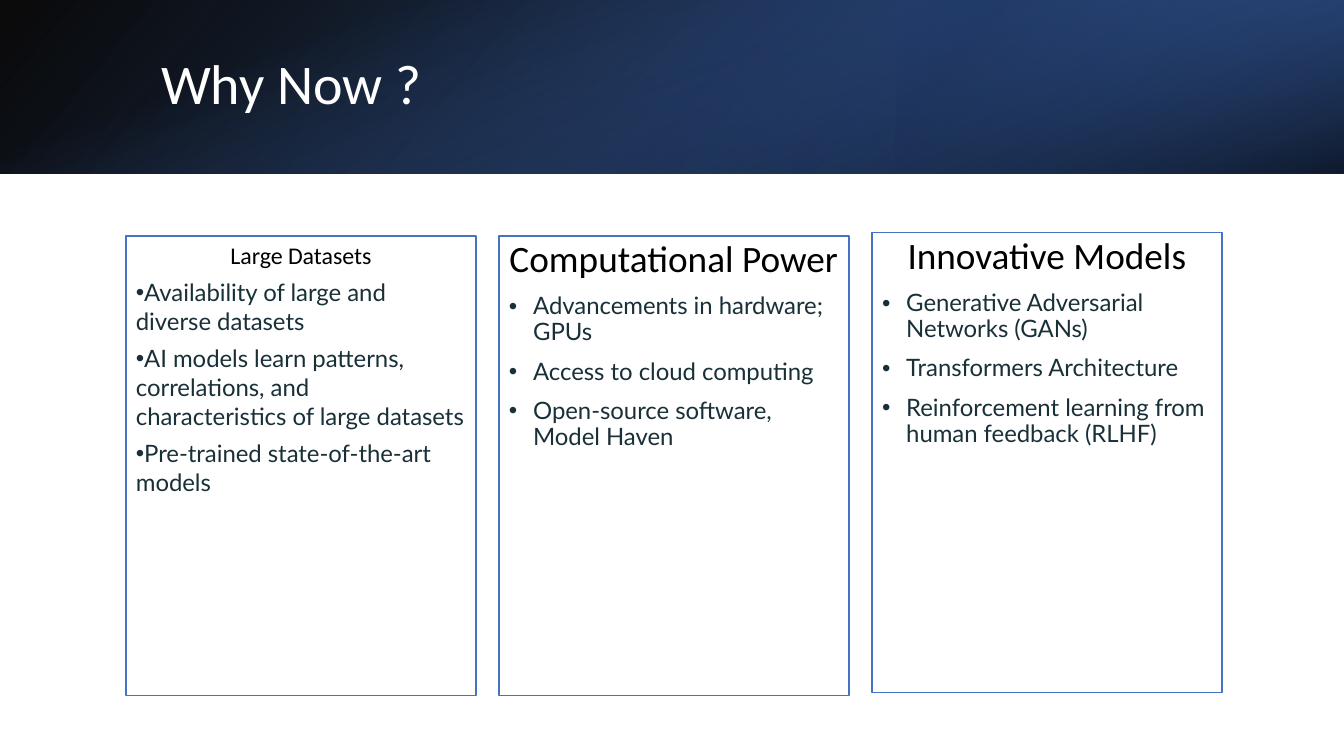
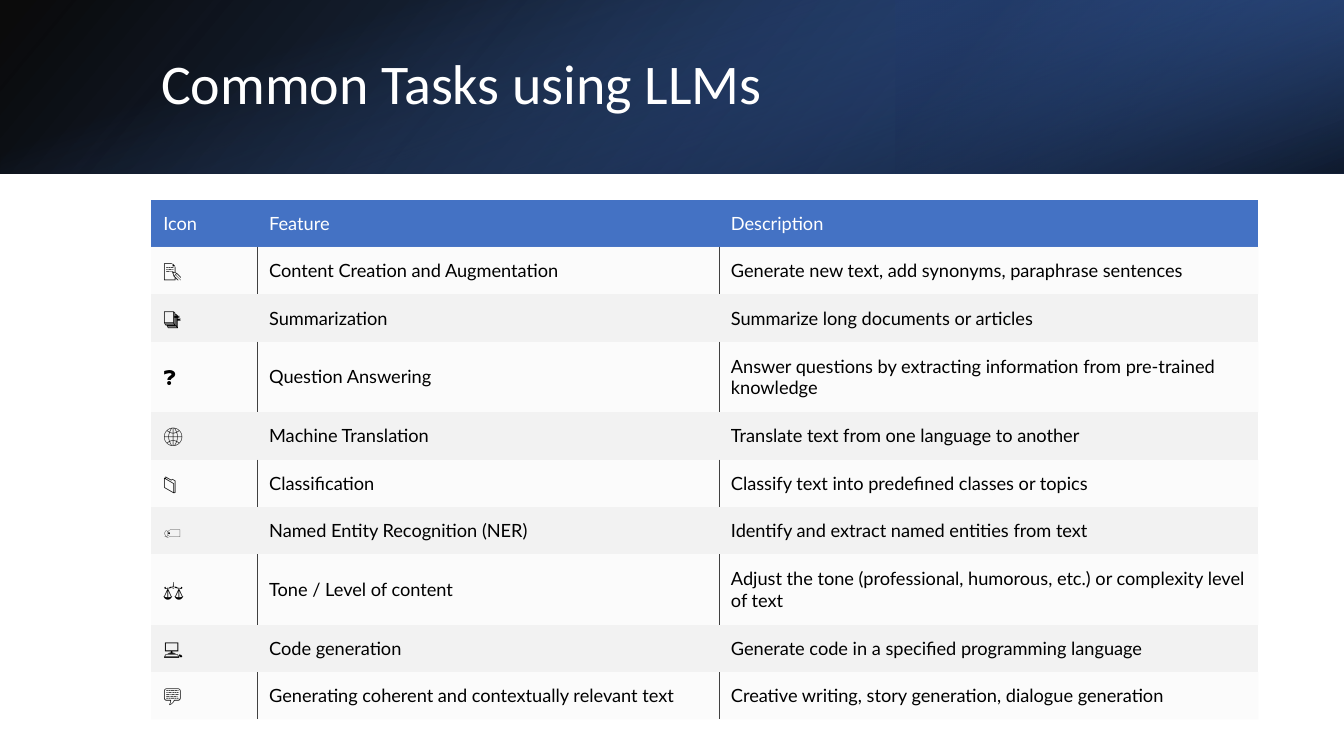
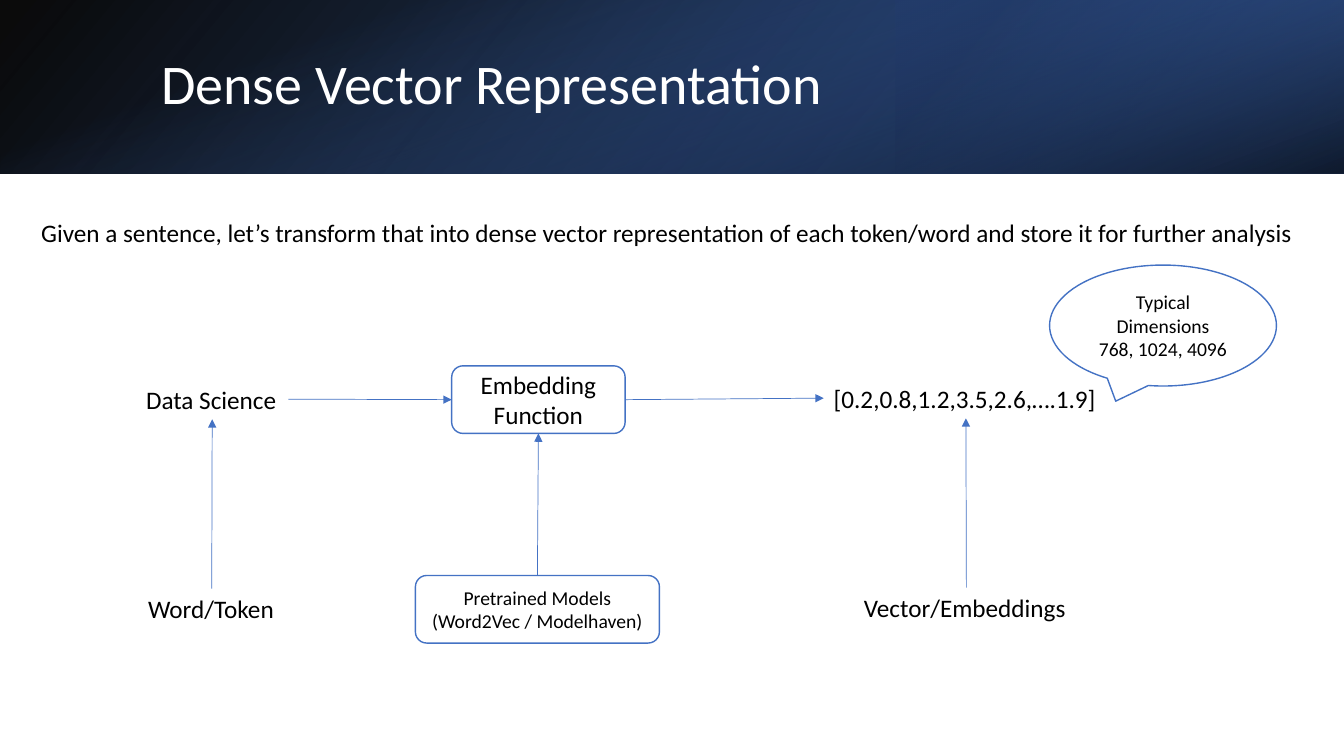
from collections import namedtuple
from dataclasses import dataclass

from lxml.etree import SubElement
from pptx import Presentation
from pptx.dml.color import RGBColor
from pptx.enum.shapes import MSO_CONNECTOR as Connector, MSO_SHAPE as Shape
from pptx.enum.text import MSO_ANCHOR as Anchor, MSO_AUTO_SIZE as AutoSize, PP_ALIGN as Align
from pptx.oxml.ns import qn
from pptx.util import Inches, Pt


@dataclass(frozen=True)
class Theme:
    black: str = "000000"
    white: str = "FFFFFF"
    accent: str = "4472C4"
    blue: str = "2F5597"
    navy: str = "203864"
    body: str = "193038"
    stripe: str = "F2F2F2"
    rule: str = "404040"
    heading_font: str = "Calibri"
    body_font: str = "Lato"
    title: float = 40
    heading: float = 26.6
    bullet: float = 17.1
    cell: float = 13
    label: float = 18
    small: float = 14


THEME = Theme()
Box = namedtuple("Box", "left top width height")
Stop = namedtuple("Stop", "position color alpha")

SLIDE_WIDTH, SLIDE_HEIGHT, BAND_HEIGHT = 13.33, 7.5, 1.72
TITLE_BOX = Box(1.5, 0.38, 10.98, 0.96)

PILLARS = [
    ("Large Datasets", [
        "Availability of large and diverse datasets",
        "AI models learn patterns, correlations, and characteristics of large datasets",
        "Pre-trained state-of-the-art models"]),
    ("Computational Power", [
        "Advancements in hardware; GPUs",
        "Access to cloud computing",
        "Open-source software, Model Haven"]),
    ("Innovative Models", [
        "Generative Adversarial Networks (GANs)",
        "Transformers Architecture",
        "Reinforcement learning from human feedback (RLHF)"]),
]

TASKS = [
    ("Icon", "Feature", "Description"),
    ("📝", "Content Creation and Augmentation",
     "Generate new text, add synonyms, paraphrase sentences"),
    ("📑", "Summarization", "Summarize long documents or articles"),
    ("❓", "Question Answering",
     "Answer questions by extracting information from pre-trained knowledge"),
    ("🌐", "Machine Translation", "Translate text from one language to another"),
    ("📁", "Classification", "Classify text into predefined classes or topics"),
    ("🏷️", "Named Entity Recognition (NER)", "Identify and extract named entities from text"),
    ("⚖️", "Tone / Level of content",
     "Adjust the tone (professional, humorous, etc.) or complexity level of text"),
    ("💻", "Code generation", "Generate code in a specified programming language"),
    ("💬", "Generating coherent and contextually relevant text",
     "Creative writing, story generation, dialogue generation"),
]
COLUMN_WIDTHS = (1.05, 4.58, 5.35)
ROW_HEIGHT, TALL_ROW_HEIGHT, TALL_ROWS = 0.47, 0.7, (3, 7)


def rgb(color):
    return RGBColor.from_string(color)


def inches(box):
    return [Inches(length) for length in box]


def style(paragraph, size, color, font=THEME.heading_font):
    paragraph.font.size = Pt(size)
    paragraph.font.name = font
    paragraph.font.color.rgb = rgb(color)


def set_alpha(color_element, percent):
    SubElement(color_element, qn("a:alpha"), val=str(percent * 1000))


def add_panel(slide, kind, box, fill=None):
    """Add an outlined shape, empty unless a fill colour is given."""
    panel = slide.shapes.add_shape(kind, *inches(box))
    panel.shadow.inherit = False
    panel.line.color.rgb = rgb(THEME.accent)
    panel.line.width = Pt(1)
    if fill:
        panel.fill.solid()
        panel.fill.fore_color.rgb = rgb(fill)
    else:
        panel.fill.background()
    return panel


def add_gradient(slide, box, angle, stops, rotation=0, flipped=False):
    """Add a borderless gradient rectangle; the angle runs clockwise."""
    layer = slide.shapes.add_shape(Shape.RECTANGLE, *inches(box))
    layer.shadow.inherit = False
    layer.line.fill.background()
    layer.rotation = rotation
    properties = layer._element.spPr
    if flipped:
        properties.find(qn("a:xfrm")).set("flipH", "1")
    layer.fill.gradient()
    layer.fill.gradient_angle = 360 - angle
    for gradient_stop, stop in zip(layer.fill.gradient_stops, stops):
        gradient_stop.position = stop.position
        gradient_stop.color.rgb = rgb(stop.color)
    for color_element, stop in zip(properties.iter(qn("a:srgbClr")), stops):
        set_alpha(color_element, stop.alpha)


def add_title_band(slide, title):
    third = SLIDE_WIDTH / 3
    offset = (SLIDE_WIDTH - BAND_HEIGHT) / 2
    add_gradient(slide, Box(0, 0, SLIDE_WIDTH, BAND_HEIGHT), 140,
                 [Stop(0, THEME.black, 96), Stop(1, THEME.blue, 100)], flipped=True)
    add_gradient(slide, Box(2 * third, 0, third, BAND_HEIGHT), 320,
                 [Stop(0.19, THEME.navy, 68), Stop(1, THEME.accent, 79)],
                 rotation=180, flipped=True)
    add_gradient(slide, Box(offset, -offset, BAND_HEIGHT, SLIDE_WIDTH), 340,
                 [Stop(0.23, THEME.accent, 0), Stop(0.99, THEME.black, 74)], rotation=90)

    frame = slide.shapes.add_textbox(*inches(TITLE_BOX)).text_frame
    frame.word_wrap = True
    frame.vertical_anchor = Anchor.MIDDLE
    frame.text = title
    frame.paragraphs[0].line_spacing = 0.9
    style(frame.paragraphs[0], THEME.title, THEME.white)


def add_bullet(paragraph, indent):
    properties = paragraph._p.get_or_add_pPr()
    properties.set("marL", str(Inches(indent)))
    properties.set("indent", str(-Inches(indent)))
    SubElement(properties, qn("a:buFont"), typeface="Arial")
    SubElement(properties, qn("a:buChar"), char="•")


def add_pillar(slide, box, heading, points, heading_size, indent, spacing):
    """Add a framed column: a centred heading over bullet points."""
    frame = add_panel(slide, Shape.RECTANGLE, box).text_frame
    frame.word_wrap = True
    frame.vertical_anchor = Anchor.TOP
    frame.text = "\n".join([heading, *points])
    for index, paragraph in enumerate(frame.paragraphs):
        if index:
            paragraph.alignment = Align.LEFT
            add_bullet(paragraph, indent)
            style(paragraph, THEME.bullet, THEME.body, THEME.body_font)
            paragraph.space_before = Pt(spacing["before"])
        else:
            paragraph.alignment = Align.CENTER
            style(paragraph, heading_size, THEME.black)
        paragraph.space_after = Pt(spacing["after"])
        paragraph.line_spacing = spacing["line"]


def add_pillars(slide, box):
    gap = 0.23
    width = (box.width - gap * (len(PILLARS) - 1)) / len(PILLARS)
    loose = {"before": 0, "after": 6, "line": 1.0}
    tight = {"before": 9.5, "after": 0, "line": 0.9}
    looks = [(0, THEME.bullet, 0, loose),
             (0, THEME.heading, 0.24, tight),
             (-0.03, THEME.heading, 0.24, tight)]
    for index, ((heading, points), (shift, *look)) in enumerate(zip(PILLARS, looks)):
        column = Box(box.left + index * (width + gap), box.top + shift, width, box.height)
        add_pillar(slide, column, heading, points, *look)


def add_cell_rules(cell, sides):
    properties = cell._tc.get_or_add_tcPr()
    for index, side in enumerate(sides):
        line = SubElement(properties, qn(f"a:{side}"), w=str(Pt(0.5)))
        fill = SubElement(line, qn("a:solidFill"))
        SubElement(fill, qn("a:srgbClr"), val=THEME.rule)
        properties.insert(index, line)


def fill_cell(cell, text, row, column):
    is_header, is_light = row == 0, row % 2 == 1
    cell.text = text
    cell.vertical_anchor = Anchor.MIDDLE
    cell.margin_left = Inches(0.12)
    cell.margin_right = Inches(0.04 if is_header else 0.07)
    cell.margin_top = cell.margin_bottom = Inches(0.09)
    style(cell.text_frame.paragraphs[0], THEME.cell,
          THEME.white if is_header else THEME.black, THEME.body_font)
    cell.fill.solid()
    cell.fill.fore_color.rgb = rgb(THEME.accent if is_header else THEME.stripe)
    if is_light:
        set_alpha(next(cell._tc.tcPr.iter(qn("a:srgbClr"))), 30)
        sides = ["lnL"] * (column > 0) + ["lnR"] * (column < len(COLUMN_WIDTHS) - 1)
        add_cell_rules(cell, sides)


def add_task_table(slide, box):
    table = slide.shapes.add_table(len(TASKS), len(COLUMN_WIDTHS), *inches(box)).table
    table.horz_banding = False
    no_grid = "{2D5ABB26-0587-4C30-8999-92F81FD0307C}"
    table._tbl.tblPr.find(qn("a:tableStyleId")).text = no_grid
    for column, width in zip(table.columns, COLUMN_WIDTHS):
        column.width = Inches(width)
    for row, texts in enumerate(TASKS):
        table.rows[row].height = Inches(TALL_ROW_HEIGHT if row in TALL_ROWS else ROW_HEIGHT)
        for column, text in enumerate(texts):
            fill_cell(table.cell(row, column), text, row, column)


def add_label(slide, box, text):
    label = slide.shapes.add_textbox(*inches(box))
    frame = label.text_frame
    frame.word_wrap = False
    frame.auto_size = AutoSize.SHAPE_TO_FIT_TEXT
    frame.text = text
    style(frame.paragraphs[0], THEME.label, THEME.black)
    return label


def add_node(slide, kind, box, text, size):
    node = add_panel(slide, kind, box, THEME.white)
    frame = node.text_frame
    frame.word_wrap = True
    frame.vertical_anchor = Anchor.MIDDLE
    frame.text = text
    for paragraph in frame.paragraphs:
        paragraph.alignment = Align.CENTER
        style(paragraph, size, THEME.black)
    return node


def add_arrow(slide, start, start_side, end, end_side):
    arrow = slide.shapes.add_connector(Connector.STRAIGHT, 0, 0, 0, 0)
    arrow.begin_connect(start, start_side)
    arrow.end_connect(end, end_side)
    arrow.line.color.rgb = rgb(THEME.accent)
    arrow.line.width = Pt(0.5)
    SubElement(arrow.line._get_or_add_ln(), qn("a:tailEnd"), type="triangle")
    SubElement(arrow._element.spPr, qn("a:effectLst"))


def add_embedding_flow(slide, box):
    def at(left, top, width, height):
        return Box(box.left + left, box.top + top, width, height)

    phrase = add_label(slide, at(0, 1.13, 1.51, 0.4), "Data Science")
    token = add_label(slide, at(0.02, 3.21, 1.46, 0.4), "Word/Token")
    embedding = add_node(slide, Shape.ROUNDED_RECTANGLE, at(3.13, 1, 1.72, 0.67),
                         "Embedding\nFunction", THEME.label)
    models = add_node(slide, Shape.ROUNDED_RECTANGLE, at(2.77, 3.08, 2.42, 0.67),
                      "Pretrained Models\n(Word2Vec / Modelhaven)", THEME.small)
    vector = add_label(slide, at(6.82, 1.12, 2.82, 0.4), "[0.2,0.8,1.2,3.5,2.6,….1.9]")
    vector_name = add_label(slide, at(7.12, 3.2, 2.23, 0.4), "Vector/Embeddings")

    top, left, bottom, right = range(4)
    add_arrow(slide, phrase, right, embedding, left)
    add_arrow(slide, embedding, right, vector, left)
    for source, target in ((token, phrase), (models, embedding), (vector_name, vector)):
        add_arrow(slide, source, top, target, bottom)

    add_node(slide, Shape.OVAL_CALLOUT, at(9.06, 0, 2.25, 1.2),
             "Typical Dimensions\n768, 1024, 4096", THEME.small)


def add_vector_content(slide, box):
    add_label(slide, Box(0.31, 2.11, 12.72, 0.4),
              "Given a sentence, let’s transform that into dense vector representation "
              "of each token/word and store it for further analysis")
    add_embedding_flow(slide, box)


def main():
    deck = Presentation()
    deck.slide_width, deck.slide_height = Inches(SLIDE_WIDTH), Inches(SLIDE_HEIGHT)
    pages = [
        ("Why Now ?", add_pillars, Box(1.25, 2.34, 10.87, 4.56)),
        ("Common Tasks using LLMs", add_task_table, Box(1.5, 1.98, 10.98, 5.14)),
        ("Dense Vector Representation", add_vector_content, Box(1.35, 2.63, 11.31, 3.75)),
    ]
    for title, add_content, box in pages:
        slide = deck.slides.add_slide(deck.slide_layouts[6])
        add_title_band(slide, title)
        add_content(slide, box)
    deck.save("out.pptx")


if __name__ == "__main__":
    main()
